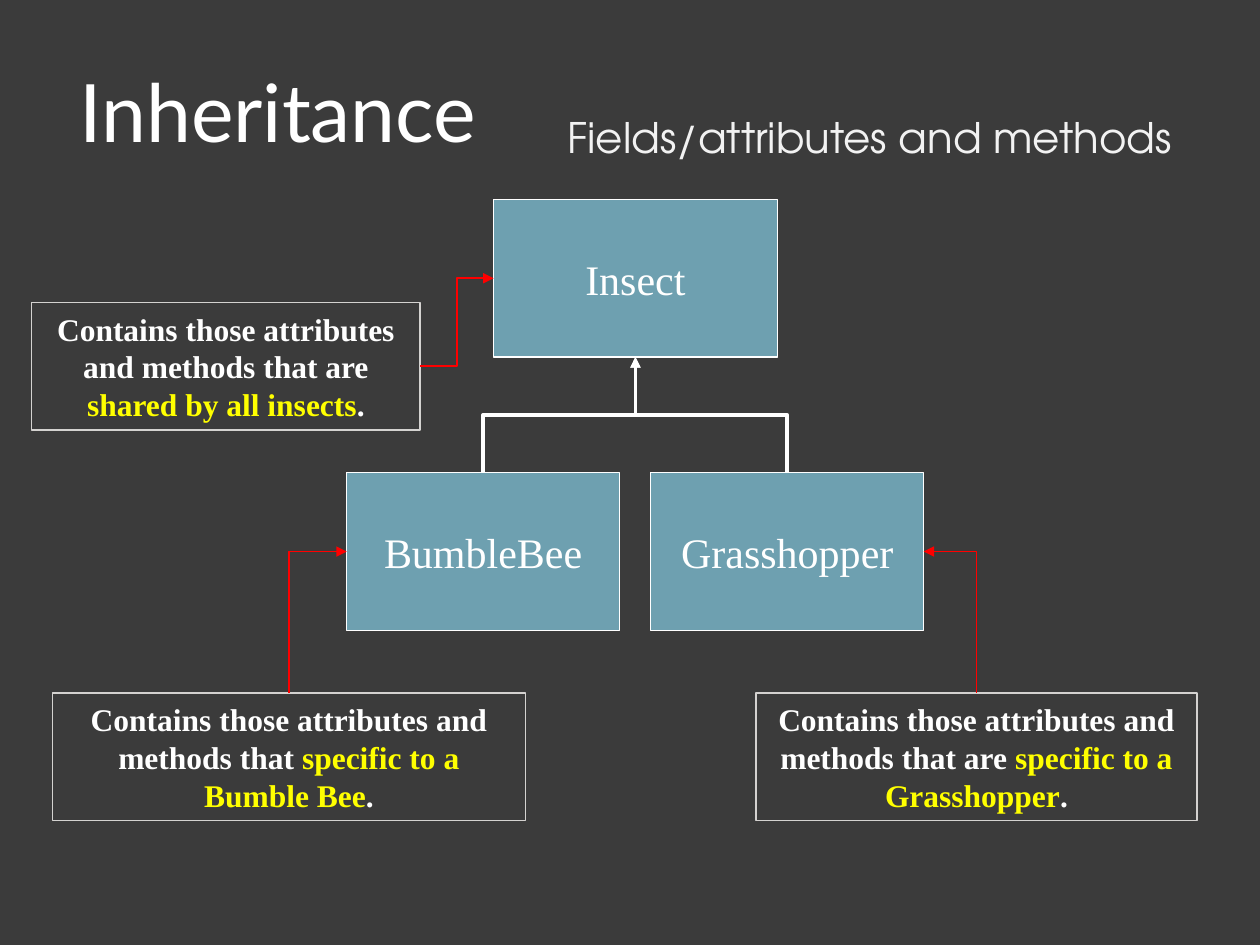
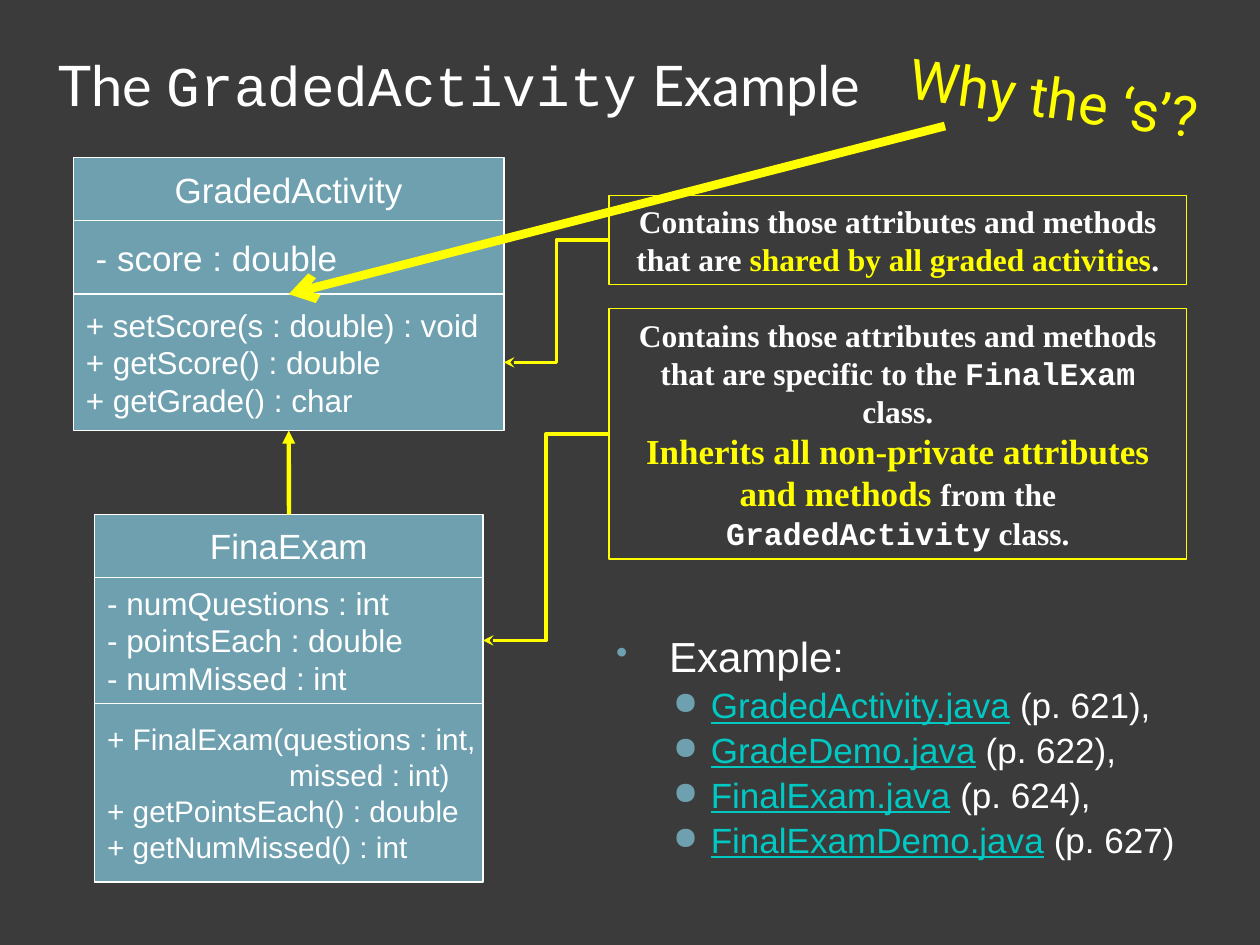
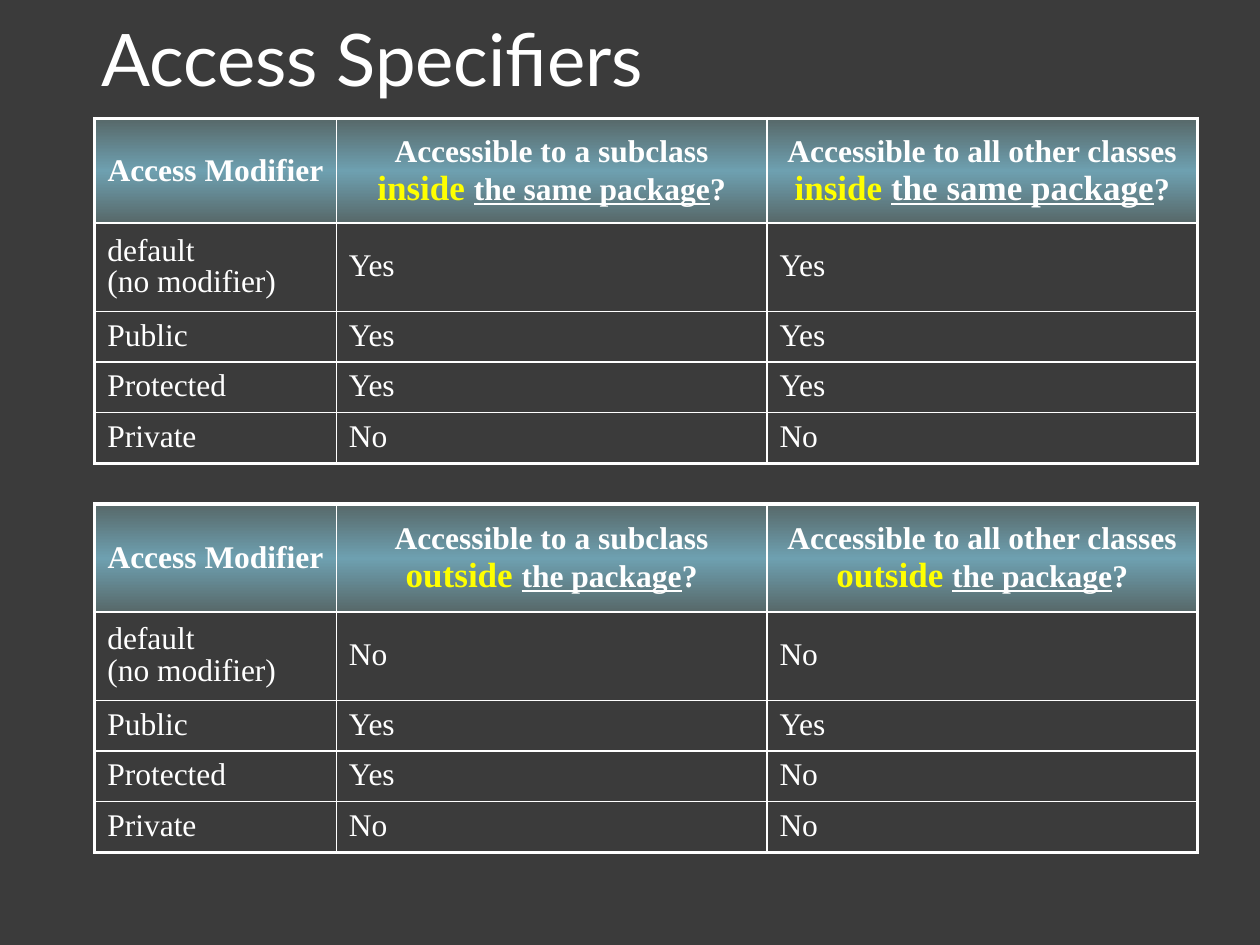
import pptx
import pptx.dml.color
import pptx.enum.shapes
import pptx.enum.text
import pptx.oxml.ns
import pptx.util
from lxml import etree

Cm, Pt, qn = pptx.util.Cm, pptx.util.Pt, pptx.oxml.ns.qn
ALIGN = pptx.enum.text.PP_ALIGN
MIDDLE = pptx.enum.text.MSO_ANCHOR.MIDDLE
CONNECTOR = pptx.enum.shapes.MSO_CONNECTOR

BACKGROUND, WHITE, YELLOW, RED = "3B3B3B", "FFFFFF", "FFFF00", "FF0000"
TEAL, DARK_TEAL, LINK, GREY, PALE = "6EA0B0", "576869", "00C8C3", "D4D2D0", "F2F2F2"
TITLE_FONT, SERIF, SANS, CODE = "Lato", "Times New Roman", "Arial", "Courier New"


def color(hex_string):
    return pptx.dml.color.RGBColor.from_string(hex_string)


def add_xml(parent, tag, **attributes):
    child = etree.SubElement(parent, qn(tag))
    for name, value in attributes.items():
        child.set(name, str(value))
    return child


def side_point(shape, side):
    """Return the middle of one side of a shape."""
    across, down = {"left": (0, 1), "right": (2, 1), "top": (1, 0), "bottom": (1, 2)}[side]
    return shape.left + shape.width * across // 2, shape.top + shape.height * down // 2


class Deck:
    def __init__(self):
        self.presentation = pptx.Presentation()
        self.presentation.slide_width = Cm(25.4)
        self.presentation.slide_height = Cm(19.05)
        self.slide = None

    def new_slide(self):
        self.slide = self.presentation.slides.add_slide(self.presentation.slide_layouts[6])
        fill = self.slide.background.fill
        fill.solid()
        fill.fore_color.rgb = color(BACKGROUND)

    def fill_text(self, text_frame, paragraphs, size, font=SERIF, ink=WHITE, bold=False, align=ALIGN.LEFT):
        """Fill a frame; a paragraph is a string or a list of (text, run style) pairs."""
        for index, content in enumerate(paragraphs):
            paragraph = text_frame.add_paragraph() if index else text_frame.paragraphs[0]
            paragraph.alignment = align
            styles = []
            if isinstance(content, str):
                paragraph.text = content
            else:
                for text, style in content:
                    paragraph.add_run().text = text
                    styles.append(style)
            for number, run in enumerate(paragraph.runs):
                style = styles[number] if styles else {}
                run.font.size = Pt(style.get("size", size))
                run.font.name = style.get("font", font)
                run.font.color.rgb = color(style.get("ink", ink))
                run.font.bold = bold
                run.font.underline = style.get("underline", False)

    def text(self, left, top, width, height, paragraphs, size, wrap=True, **style):
        box = self.slide.shapes.add_textbox(Cm(left), Cm(top), Cm(width), Cm(height))
        box.text_frame.word_wrap = wrap
        self.fill_text(box.text_frame, paragraphs, size, **style)
        return box

    def title(self, left, top, width, height, content, size):
        frame = self.text(left, top, width, height, [content], size, font=TITLE_FONT).text_frame
        frame.vertical_anchor = MIDDLE
        frame.margin_left = frame.margin_right = Cm(0.13)

    def box(self, left, top, width, height, paragraphs, size, fill=TEAL, line=WHITE, wrap=False, **style):
        shape = self.slide.shapes.add_shape(
            pptx.enum.shapes.MSO_SHAPE.RECTANGLE, Cm(left), Cm(top), Cm(width), Cm(height))
        shape.shadow.inherit = False
        if fill:
            shape.fill.solid()
            shape.fill.fore_color.rgb = color(fill)
        else:
            shape.fill.background()
        shape.line.color.rgb = color(line)
        shape.line.width = Pt(0.75)
        shape.text_frame.word_wrap = wrap
        shape.text_frame.vertical_anchor = MIDDLE
        self.fill_text(shape.text_frame, paragraphs, size, **style)
        return shape

    def callout(self, left, top, width, height, paragraphs, line=GREY):
        return self.box(left, top, width, height, paragraphs, 18, fill=None, line=line,
                        wrap=True, bold=True, align=ALIGN.CENTER)

    def class_diagram(self, left, top, width, name, compartments):
        """Stack a name box and (height, size, lines) compartments; return all boxes."""
        boxes = [self.box(left, top, width, 1.27, [name], 20, font=SANS, align=ALIGN.CENTER)]
        top += 1.27
        for height, size, lines in compartments:
            boxes.append(self.box(left, top, width, height, lines, size, font=SANS))
            top += height
        return boxes

    def line(self, start, end, ink, weight, head=None, kind=CONNECTOR.STRAIGHT):
        connector = self.slide.shapes.add_connector(kind, *map(int, (*start, *end)))
        connector.line.color.rgb = color(ink)
        connector.line.width = Pt(weight)
        if head:
            add_xml(connector.line._get_or_add_ln(), "a:tailEnd", type=head)
        add_xml(connector.element.spPr, "a:effectLst")
        return connector

    def elbow(self, source, source_side, target, target_side, ink, weight, head):
        start, end = side_point(source, source_side), side_point(target, target_side)
        if source_side in ("left", "right"):
            self.line(start, end, ink, weight, head, CONNECTOR.ELBOW)
            return
        # An upward first leg is a sideways connector turned by 270 degrees.
        center_x, center_y = (start[0] + end[0]) / 2, (start[1] + end[1]) / 2
        half_rise, half_run = (start[1] - end[1]) / 2, (end[0] - start[0]) / 2
        connector = self.line((center_x - half_rise, center_y - half_run),
                              (center_x + half_rise, center_y + half_run),
                              ink, weight, head, CONNECTOR.ELBOW)
        properties = connector.element.spPr
        properties.find(qn("a:xfrm")).set("rot", str(270 * 60000))
        if target_side in ("left", "right"):
            properties.find(qn("a:prstGeom")).set("prst", "bentConnector2")

    def bullet(self, paragraph, left, first, character, percent):
        size = paragraph.runs[0].font.size
        paragraph.line_spacing = 0.9
        paragraph.space_before = int(size * 0.2)
        properties = paragraph._p.get_or_add_pPr()
        properties.set("marL", str(Cm(left)))
        properties.set("indent", str(Cm(first)))
        add_xml(add_xml(properties, "a:buClr"), "a:srgbClr", val=TEAL)
        add_xml(properties, "a:buSzPct", val=percent * 1000)
        add_xml(properties, "a:buChar", char=character)

    def table(self, top, header_height, header, rows):
        heights = [header_height, 1.78, 1.02, 1.02, 1.02]
        widths = [4.87, 8.68, 8.68]
        table = self.slide.shapes.add_table(
            len(heights), len(widths), Cm(1.91), Cm(top), Cm(sum(widths)), Cm(sum(heights))).table
        table.first_row = table.horz_banding = False
        for column, width in zip(table.columns, widths):
            column.width = Cm(width)
        for row, height in zip(table.rows, heights):
            row.height = Cm(height)
        for r, contents in enumerate([header, *rows]):
            for c, content in enumerate(contents):
                cell = table.cell(r, c)
                cell.vertical_anchor = MIDDLE
                self.fill_text(cell.text_frame, [content], 18, bold=r == 0,
                               align=ALIGN.LEFT if r else ALIGN.CENTER)
                outer = {"L": c == 0, "R": c == len(widths) - 1,
                         "T": r == 0, "B": r == len(heights) - 1}
                self.cell_borders(cell, outer)
                if r:
                    cell.text_frame.paragraphs[0].line_spacing = 0.9
                    cell.fill.background()
                else:
                    self.cell_gradient(cell)

    def cell_borders(self, cell, outer):
        for side, is_outer in outer.items():
            line = add_xml(cell._tc.get_or_add_tcPr(), f"a:ln{side}", w=Pt(2.25 if is_outer else 1))
            add_xml(add_xml(line, "a:solidFill"), "a:srgbClr", val=WHITE)

    def cell_gradient(self, cell):
        gradient = add_xml(cell._tc.get_or_add_tcPr(), "a:gradFill")
        stops = add_xml(gradient, "a:gsLst")
        for percent, ink in ((0, DARK_TEAL), (50, TEAL), (100, DARK_TEAL)):
            add_xml(add_xml(stops, "a:gs", pos=percent * 1000), "a:srgbClr", val=ink)
        add_xml(gradient, "a:lin", ang=90 * 60000, scaled=0)


def highlight(before, marked):
    return [(before, {}), (marked, {"ink": YELLOW}), (".", {})]


def inheritance_slide(deck):
    deck.new_slide()
    deck.title(1.47, 0.84, 23.93, 2.77, "Inheritance", 46)
    insect, grasshopper, bumblebee = [
        deck.box(left, top, width, 3.18, [name], 24, align=ALIGN.CENTER)
        for name, left, top, width in (("Insect", 9.95, 4.02, 5.72),
                                       ("Grasshopper", 13.12, 9.53, 5.5),
                                       ("BumbleBee", 6.99, 9.53, 5.5))]
    for subclass in (bumblebee, grasshopper):
        deck.elbow(subclass, "top", insect, "bottom", WHITE, 2, "triangle")

    shared = "Contains those attributes and methods that are "
    notes = (
        (0.64, 6.1, 7.83, shared, "shared by all insects", "right", insect, "left"),
        (1.06, 13.97, 9.53, "Contains those attributes and methods that ",
         "specific to a Bumble Bee", "top", bumblebee, "left"),
        (15.24, 13.97, 8.89, shared, "specific to a Grasshopper", "top", grasshopper, "right"),
    )
    for left, top, width, before, marked, side, target, target_side in notes:
        note = deck.callout(left, top, width, 2.57, [highlight(before, marked)])
        deck.elbow(note, side, target, target_side, RED, 1, "triangle")
    deck.text(11.11, 2.12, 12.83, 1.3, ["Fields/attributes and methods"], 24, wrap=False,
              font="TeX Gyre Adventor", ink=PALE, align=ALIGN.CENTER)


def graded_activity_slide(deck):
    deck.new_slide()
    code = {"font": CODE}
    deck.title(1.06, 0.64, 21.59, 2.12,
               [("The ", {}), ("GradedActivity", code), (" Example", {})], 32)

    link = {"ink": LINK, "underline": True}
    examples = [[(file_name, link), (f" (p. {page}{ending}", {})]
                for file_name, page, ending in (("GradedActivity.java", 621, "),"),
                                                ("GradeDemo.java", 622, "),"),
                                                ("FinalExam.java", 624, "),"),
                                                ("FinalExamDemo.java", 627, ")"))]
    body = deck.text(12.07, 12.7, 12.7, 5.92, [[("Example:", {"size": 24})], *examples], 20, font=SANS)
    heading, *items = body.text_frame.paragraphs
    deck.bullet(heading, 1.17, -1.07, "•", 80)
    for item in items:
        deck.bullet(item, 2.01, -0.76, "●", 90)

    _, score, activity_methods = deck.class_diagram(1.48, 3.18, 8.68, "GradedActivity", [
        (1.48, 20, ["- score : double"]),
        (2.75, 18, ["+ setScore(s : double) : void", "+ getScore() : double", "+ getGrade() : char"]),
    ])
    exam_name, exam_fields, exam_methods = deck.class_diagram(1.91, 10.37, 7.83, "FinaExam", [
        (2.54, 18, ["- numQuestions : int", "- pointsEach : double", "- numMissed : int"]),
        (3.6, 17, ["+ FinalExam(questions : int,", "missed : int)",
                   "+ getPointsEach() : double", "+ getNumMissed() : int"]),
    ])
    score.text_frame.margin_left = Cm(0.45)
    continued = exam_methods.text_frame.paragraphs[1]
    continued._p.get_or_add_pPr().set("marL", str(Cm(3.67)))
    deck.line(side_point(exam_name, "top"), side_point(activity_methods, "bottom"),
              YELLOW, 2.5, "triangle")

    activity_note = deck.callout(12.28, 3.94, 11.64, 1.8, [highlight(
        "Contains those attributes and methods that are ", "shared by all graded activities")], YELLOW)
    exam_note = deck.callout(12.28, 6.22, 11.64, 5.05, [
        [("Contains those attributes and methods that are specific to the ", {}),
         ("FinalExam", code), (" class.", {})],
        [("Inherits all non-private attributes and methods ", {"size": 20, "ink": YELLOW}),
         ("from the ", {}), ("GradedActivity", code), (" class.", {})],
    ], YELLOW)
    for note, target in ((activity_note, activity_methods), (exam_note, exam_fields)):
        deck.elbow(note, "left", target, "right", YELLOW, 2, "stealth")

    question = deck.text(17.65, 1.14, 7.19, 1.63, ["Why the ‘s’?"], 32, wrap=False,
                         font="Roboto", ink=YELLOW, align=ALIGN.CENTER)
    question.rotation = 7.8
    deck.line((Cm(19.05), Cm(2.54)), side_point(activity_methods, "top"), YELLOW, 5, "arrow")


def access_slide(deck):
    deck.new_slide()
    deck.title(1.91, 0.2, 21.59, 1.91, "Access Specifiers", 41.4)
    modifiers = ("default\n(no modifier)", "Public", "Protected", "Private")
    tables = (
        (2.39, 2.11, "inside ", "the same package", 20,
         ("Yes", "Yes", "Yes", "No"), ("Yes", "Yes", "Yes", "No")),
        (10.16, 2.18, "outside ", "the package", 18,
         ("No", "Yes", "Yes", "No"), ("No", "Yes", "No", "No")),
    )
    for top, header_height, where, package_text, last_size, subclass, others in tables:
        header = ["Access Modifier"]
        for audience, size in (("a subclass ", 18), ("all other classes ", last_size)):
            header.append([("Accessible to " + audience, {}),
                           (where, {"size": 20, "ink": YELLOW}),
                           (package_text, {"size": size, "underline": True}), ("?", {})])
        deck.table(top, header_height, header, zip(modifiers, subclass, others))


def main():
    deck = Deck()
    inheritance_slide(deck)
    graded_activity_slide(deck)
    access_slide(deck)
    deck.presentation.save("out.pptx")


if __name__ == "__main__":
    main()
